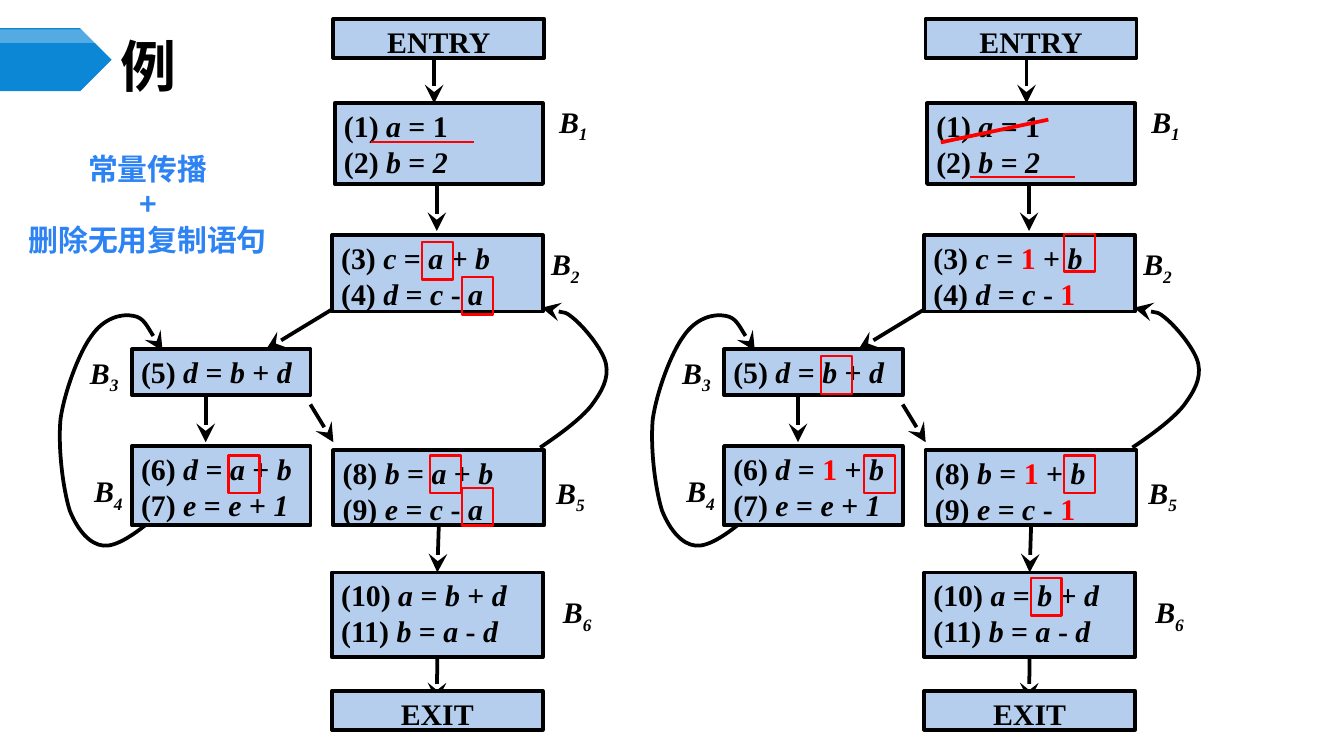
from pptx import Presentation
from pptx.util import Pt
from pptx.dml.color import RGBColor
from pptx.enum.shapes import MSO_CONNECTOR, MSO_SHAPE
from pptx.enum.text import MSO_ANCHOR, PP_ALIGN
from pptx.oxml import parse_xml
from pptx.oxml.ns import nsdecls, qn
from lxml.etree import SubElement

BLACK = RGBColor(0x00, 0x00, 0x00)
WHITE = RGBColor(0xFF, 0xFF, 0xFF)
RED = RGBColor(0xFF, 0x00, 0x00)
PALE = RGBColor(0xB5, 0xCE, 0xED)
DEEP = RGBColor(0x0B, 0x87, 0xD6)
BLUE = RGBColor(0x2D, 0x83, 0xF4)
SERIF, SANS = "Times New Roman", "Noto Sans CJK SC"

TITLE = "例"
NOTE = ["常量传播", "+", "删除无用复制语句"]

# Letters are italic; * makes another word italic, ! makes it red.
BEFORE = {
    "B1": ["(1) a = 1", "(2) b = *2"],
    "B2": ["(3) c = a + b", "(4) d = c - a"],
    "B3": ["(5) d = b + d"],
    "B4": ["(6) d = a + b", "(7) e = e + *1"],
    "B5": ["(8) b = a + b", "(9) e = c - a"],
    "B6": ["(10) a = b + d", "(11) b = a - d"],
    "ENTRY": ["ENTRY"],
    "EXIT": ["EXIT"],
}
AFTER = BEFORE | {
    "B2": ["(3) c = !1 + b", "(4) d = c - !1"],
    "B4": ["(6) d = !1 + b", "(7) e = e + *1"],
    "B5": ["(8) b = !1 + b", "(9) e = c - !1"],
}
STEP = 317.3  # from the first graph to the second

BOXES = {
    "B1": (179.3, 55.4, 111.6, 43.2),
    "B2": (177.8, 126, 113, 41),
    "B3": (70.6, 187.2, 95.8, 24.5),
    "B4": (70.6, 239, 95.8, 42.5),
    "B5": (178.6, 241.2, 113, 40.3),
    "B6": (177.8, 306.7, 113, 45.4),
    "ENTRY": (178.6, 10.1, 113, 20.9),
    "EXIT": (177.8, 370.1, 113, 20.9),
}
INSET = (5, 3.6, 5, 3.6)
LABELS = [
    ("1", (299.5, 55.4, 31, 17.3), (0, 0, 0, 0)),
    ("2", (290.2, 128.2, 49.7, 25.9), INSET),
    ("3", (43.2, 186.5, 38.2, 25.9), INSET),
    ("4", (45.4, 249.8, 49, 25.2), INSET),
    ("5", (293, 250.6, 40.3, 25.9), INSET),
    ("6", (296.6, 314.6, 49.7, 25.9), INSET),
]
# start, end, box joined at its bottom, box joined at its top
ARROWS = [
    ((232.6, 31), (232.6, 55.4), None, None),
    ((234, 99.4), (234, 123.8), None, None),
    ((179.3, 164.9), (142.6, 187.2), None, None),
    ((110.2, 211.7), (110.2, 236.9), None, None),
    ((166.3, 216.7), (178.6, 236.9), None, None),
    ((235.4, 281.5), (235.4, 306.7), "B5", "B6"),
    ((234, 352.1), (234, 375.8), "B6", None),
]
# Bezier curves: a start, then three points for each piece
LOOP = [
    (82.1, 277.9),
    (72.7, 285.8), (62.6, 293), (55.4, 292.3),
    (48.2, 291.6), (41.8, 284.4), (37.4, 273.6),
    (33.8, 262.1), (31, 240.5), (32.4, 224.6),
    (34.6, 209.5), (42.5, 188.6), (49, 180),
    (55.4, 170.6), (64.8, 167.8), (71.3, 169.2),
    (77, 169.9), (84.2, 183.6), (87.1, 187.9),
]
BACK = [
    (289.4, 239.8),
    (300.2, 232.6), (311, 224.6), (316.8, 217.4),
    (322.6, 209.5), (326.2, 203), (324.7, 195.1),
    (323.3, 187.9), (313.9, 176.4), (308.2, 171.4),
    (302.4, 166.3), (290.2, 164.9), (290.2, 164.9),
]
MARKS = [
    (226.1, 129.6), (247.7, 148.3), (230.4, 244.1), (247.7, 261.4),
    (122.4, 244.1), (570.2, 125.3), (439.9, 190.8), (570.2, 244.1),
    (463, 244.1), (552.2, 309.6),
]
STROKES = [
    ((504, 76.3), (561.6, 64.1), 2),
    ((198.7, 76.3), (254.2, 76.3), 1),
    ((519.8, 95), (576, 95), 1),
]

deck = Presentation()
deck.slide_width, deck.slide_height = Pt(720), Pt(405)
slide = deck.slides.add_slide(deck.slide_layouts[6])
shapes = slide.shapes


def pts(*nums):
    return [Pt(n) for n in nums]


def frame(shape, inset, anchor=MSO_ANCHOR.TOP, wrap=True):
    tf = shape.text_frame
    sides = ("left", "top", "right", "bottom")
    look = {f"margin_{s}": Pt(n) for s, n in zip(sides, inset)}
    look |= {"vertical_anchor": anchor, "word_wrap": wrap}
    for key, val in look.items():
        setattr(tf, key, val)
    return tf


def para(tf, i, align):
    p = tf.add_paragraph() if i else tf.paragraphs[0]
    p.alignment = align
    return p


def write(p, text, size=16, name=SERIF, color=BLACK, italic=False):
    run = p.add_run()
    run.text = text
    look = {"size": Pt(size), "name": name, "bold": True, "italic": italic}
    for key, val in look.items():
        setattr(run.font, key, val)
    run.font.color.rgb = color
    SubElement(run.font._element, qn("a:ea")).set("typeface", name)
    return run


def plate(kind, at, fill=None, edge=None, width=2):
    shape = shapes.add_shape(kind, *pts(*at))
    shape.shadow.inherit = False
    if fill is None:
        shape.fill.background()
    else:
        shape.fill.solid()
        shape.fill.fore_color.rgb = fill
    if edge is None:
        shape.line.fill.background()
    else:
        shape.line.color.rgb = edge
        shape.line.width = Pt(width)
    return shape


def tip(shape):
    """Put an arrowhead at the end of a line."""
    shape.line._get_or_add_ln().append(parse_xml(
        f'<a:tailEnd {nsdecls("a")} type="stealth" w="lg" len="lg"/>'))


def line(start, end, color=BLACK, width=2):
    wire = shapes.add_connector(MSO_CONNECTOR.STRAIGHT, *pts(*start, *end))
    wire.line.color.rgb = color
    wire.line.width = Pt(width)
    SubElement(wire._element.spPr, qn("a:effectLst"))
    return wire


def curve(points, dx):
    first, *rest = [pts(x + dx, y) for x, y in points]
    pen = shapes.build_freeform(*first)
    pen.add_line_segments(rest, close=False)
    shape = pen.convert_to_shape()
    shape.shadow.inherit = False
    shape.fill.background()
    shape.line.color.rgb = BLACK
    shape.line.width = Pt(2)
    track = next(shape._element.iter(qn("a:path")))
    legs = track.findall(qn("a:lnTo"))
    for i in range(0, len(legs), 3):
        bend = SubElement(track, qn("a:cubicBezTo"))
        for leg in legs[i:i + 3]:
            bend.append(leg[0])
            track.remove(leg)
    tip(shape)


def code(p, text):
    words = text.split()
    for i, word in enumerate(words):
        bare = word.lstrip("*!")
        slant = word[0] == "*" or (len(word) == 1 and word.isalpha())
        gap = " " if i < len(words) - 1 else ""
        write(p, bare + gap, italic=slant,
              color=RED if word[0] == "!" else BLACK)


def graph(rows, dx):
    for num, (x, y, w, h), inset in LABELS:
        box = shapes.add_textbox(*pts(x + dx, y, w, h))
        p = para(frame(box, inset), 0, PP_ALIGN.JUSTIFY)
        write(p, "B", italic=True)
        low = write(p, num, italic=True)
        low.font._element.set("baseline", "-25000")
    wires = []
    for (x1, y1), (x2, y2), top, foot in ARROWS:
        wire = line((x1 + dx, y1), (x2 + dx, y2))
        tip(wire)
        wires.append((wire, top, foot))
    curve(LOOP, dx)
    made = {}
    for name, (x, y, w, h) in BOXES.items():
        box = plate(MSO_SHAPE.RECTANGLE, (x + dx, y, w, h), PALE, BLACK)
        made[name] = box
        tf = frame(box, (5, 2.5, 5, 0))
        ends = name in ("ENTRY", "EXIT")
        for i, text in enumerate(rows[name]):
            code(para(tf, i, PP_ALIGN.CENTER if ends else PP_ALIGN.JUSTIFY), text)
    for wire, top, foot in wires:
        if top:
            wire.begin_connect(made[top], 2)
        if foot:
            wire.end_connect(made[foot], 0)
    curve(BACK, dx)


plate(MSO_SHAPE.PENTAGON, (0, 15.1, 59.8, 33.8), DEEP)
shine = plate(MSO_SHAPE.PENTAGON, (0, 15.8, 59.8, 7.2), WHITE)
tint = next(shine._element.spPr.iter(qn("a:srgbClr")))
SubElement(tint, qn("a:alpha")).set("val", "30000")

head = shapes.add_textbox(*pts(59.8, 20.9, 301, 28.1))
write(para(frame(head, INSET, MSO_ANCHOR.MIDDLE), 0, PP_ALIGN.LEFT), TITLE, 30, SANS)

for n, rows in enumerate((BEFORE, AFTER)):
    graph(rows, n * STEP)
for x, y in MARKS:
    plate(MSO_SHAPE.RECTANGLE, (x, y, 16.6, 20.2), edge=RED, width=1.25)
for start, end, width in STROKES:
    line(start, end, RED, width)

note = frame(shapes.add_textbox(*pts(7.2, 77, 144, 65.5)), (7.2, 3.6, 7.2, 3.6), wrap=False)
for i, text in enumerate(NOTE):
    write(para(note, i, PP_ALIGN.CENTER), text, 16, SANS, BLUE)

deck.save("out.pptx")
